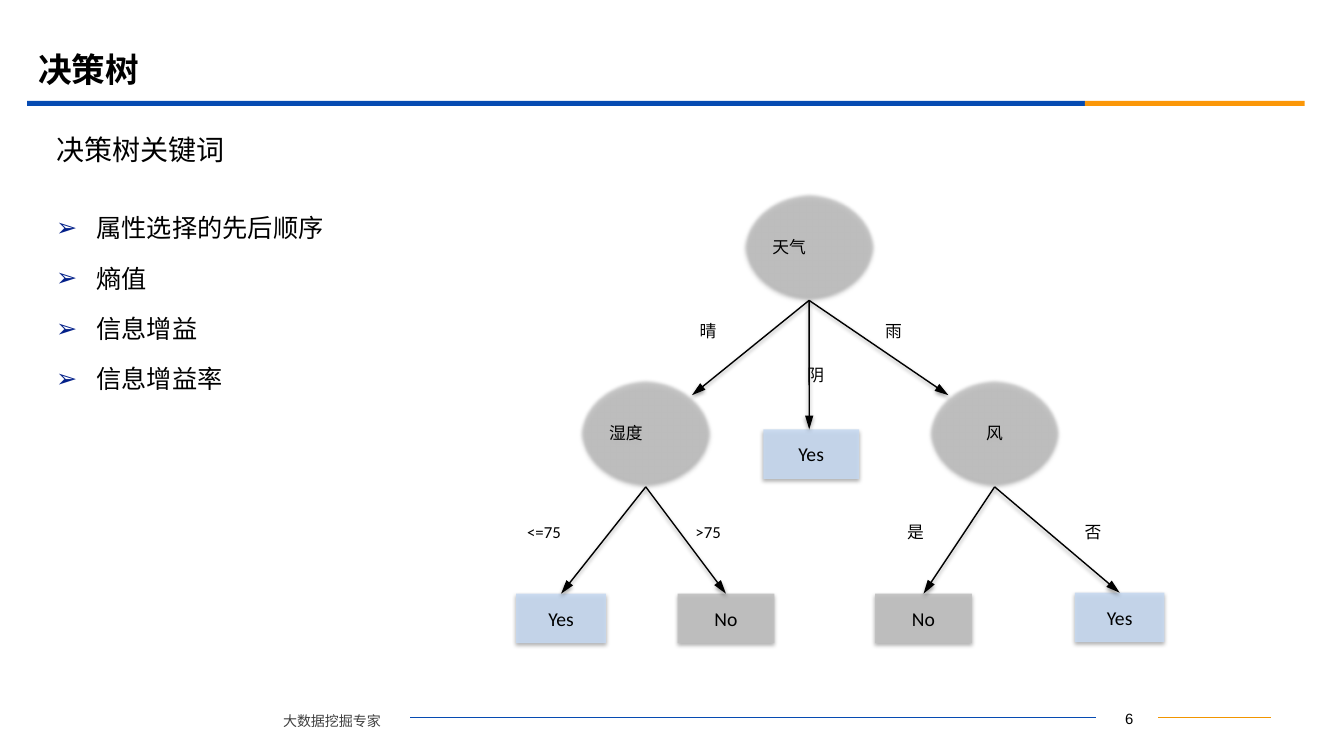
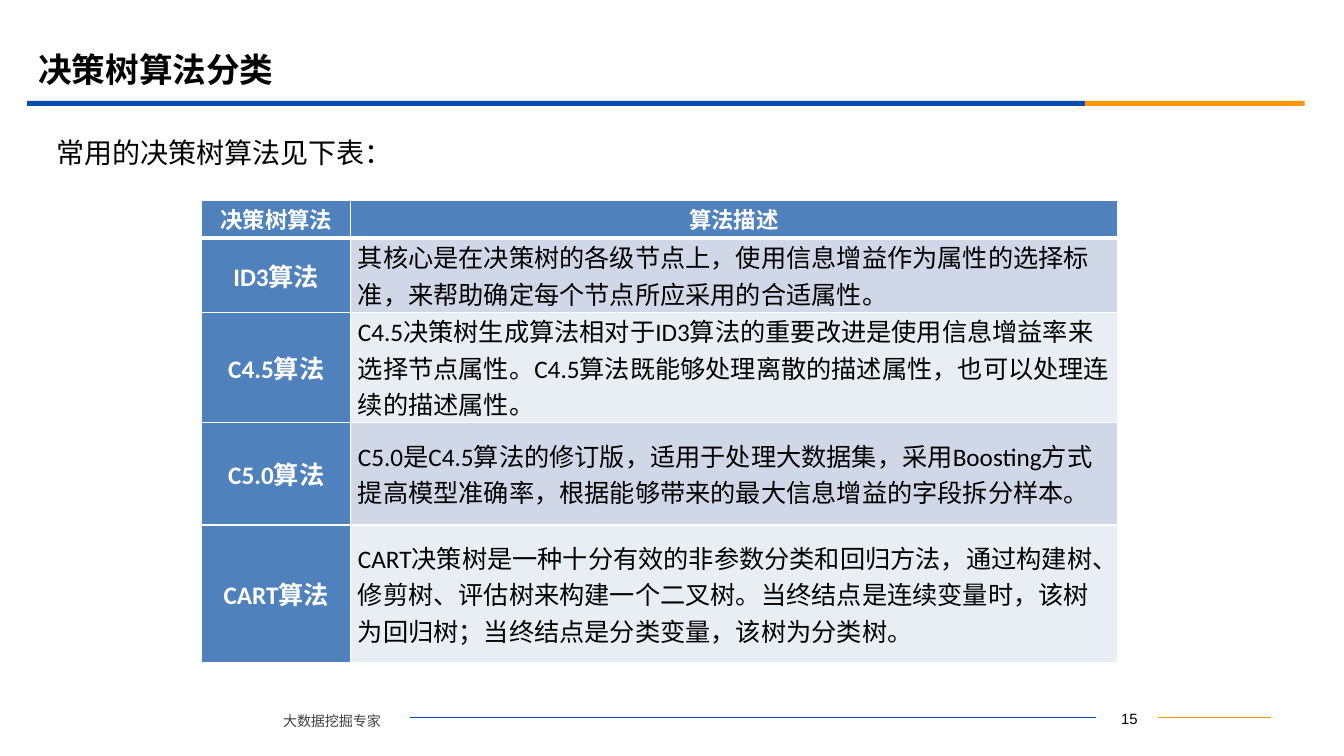
from dataclasses import dataclass

from lxml import etree
from pptx import Presentation
from pptx.dml.color import RGBColor
from pptx.enum import shapes as sh, text as tx
from pptx.oxml import ns
from pptx.util import Emu, Inches, Pt

WHITE = RGBColor(0xFF, 0xFF, 0xFF)
BLACK = RGBColor(0, 0, 0)
DARK = RGBColor(0x40, 0x40, 0x40)
BLUE = RGBColor(0x06, 0x4B, 0xB2)
ORANGE = RGBColor(0xFB, 0x97, 0x08)
AMBER = RGBColor(0xF1, 0x95, 0x00)
BULLET = RGBColor(0x03, 0x20, 0x89)
GREY = RGBColor(0xBF, 0xBF, 0xBF)
PALE = RGBColor(0xC6, 0xD9, 0xF1)
HEADER = RGBColor(0x4F, 0x81, 0xBD)
STRIPES = (RGBColor(0xD0, 0xD8, 0xE8), RGBColor(0xE9, 0xED, 0xF4))
LATIN, CJK = "Calibri", "Noto Sans CJK SC"
LEFT, CENTER = tx.PP_ALIGN.LEFT, tx.PP_ALIGN.CENTER
TOP, MIDDLE = tx.MSO_ANCHOR.TOP, tx.MSO_ANCHOR.MIDDLE


@dataclass(frozen=True)
class Node:
    text: str
    x: float
    y: float
    w: float
    h: float = 0.49
    fill: RGBColor = PALE
    oval: bool = False
    align: tx.PP_ALIGN = CENTER


@dataclass(frozen=True)
class Edge:
    parent: str
    child: str
    fx: float
    fy: float
    label: str
    x: float
    y: float
    w: float


def sub(parent, tag: str, **attrs):
    el = etree.SubElement(parent, ns.qn(tag))
    for key, value in attrs.items():
        el.set(key, str(value))
    return el


def add_run(p, text: str, size: float, color: RGBColor = BLACK,
            bold: bool = False, font: str = LATIN) -> None:
    r = p.add_run()
    r.text = text
    r.font.size, r.font.bold, r.font.name = Pt(size), bold, font
    r.font.color.rgb = color
    sub(r.font._element, "a:ea", typeface=CJK)


def add_text(shapes, text: str, x: float, y: float, w: float, h: float,
             size: float, color: RGBColor = BLACK, font: str = LATIN,
             align: tx.PP_ALIGN = LEFT, anchor: tx.MSO_ANCHOR = TOP):
    tf = shapes.add_textbox(Inches(x), Inches(y), Inches(w), Inches(h)).text_frame
    tf.word_wrap, tf.vertical_anchor = True, anchor
    p = tf.paragraphs[0]
    p.alignment = align
    add_run(p, text, size, color, font=font)
    return p


def add_fill_shape(shapes, kind: sh.MSO_SHAPE, x: float, y: float,
                   w: float, h: float, fill: RGBColor):
    sp = shapes.add_shape(kind, Inches(x), Inches(y), Inches(w), Inches(h))
    sp.shadow.inherit = False
    sp.fill.solid()
    sp.fill.fore_color.rgb = fill
    sp.line.fill.background()
    return sp


def add_line(shapes, x1: float, y1: float, x2: float, y2: float,
             color: RGBColor, width: float):
    c = shapes.add_connector(sh.MSO_CONNECTOR.STRAIGHT, Inches(x1), Inches(y1),
                             Inches(x2), Inches(y2))
    c.line.color.rgb, c.line.width = color, Pt(width)
    return c, sub(c._element.spPr, "a:effectLst")


def add_shadow(effects, distance: float, opacity: int) -> None:
    shadow = sub(effects, "a:outerShdw", blurRad=Pt(3.1), dist=Pt(distance),
                 dir=5400000, rotWithShape=0)
    sub(sub(shadow, "a:srgbClr", val=BLACK), "a:alpha", val=opacity * 1000)


def add_node(shapes, node: Node) -> None:
    kind = sh.MSO_SHAPE.OVAL if node.oval else sh.MSO_SHAPE.RECTANGLE
    sp = add_fill_shape(shapes, kind, node.x, node.y, node.w, node.h, node.fill)
    sub(sp._element.spPr.find(".//" + ns.qn("a:srgbClr")), "a:alpha", val=87000)
    effects = sp._element.spPr.find(ns.qn("a:effectLst"))
    add_shadow(effects, 1.8, 35)
    if node.oval:
        sub(effects, "a:softEdge", rad=Pt(2.5))
    tf = sp.text_frame
    tf.vertical_anchor = MIDDLE
    p = tf.paragraphs[0]
    p.alignment = node.align
    add_run(p, node.text, 12 if node.oval else 14)


def add_edge(shapes, nodes: dict[str, Node], edge: Edge) -> None:
    a, b = nodes[edge.parent], nodes[edge.child]
    c, effects = add_line(shapes, a.x + a.w / 2, a.y + a.h,
                          b.x + b.w * edge.fx, b.y + b.h * edge.fy, BLACK, 1)
    sub(c.line._get_or_add_ln(), "a:tailEnd", type="triangle", len="lg")
    add_shadow(effects, 1.6, 38)
    add_text(shapes, edge.label, edge.x, edge.y, edge.w, 0.39, 12)


def add_slide(prs, title: str, number: int):
    s = prs.slides.add_slide(prs.slide_layouts.get_by_name("Title Only"))
    add_text(s.shapes, str(number), 10.89, 6.99, 0.62, 0.25, 10.6,
             font="Arial", align=CENTER)
    p = add_text(s.shapes, "大数据挖掘专家", 2.71, 6.94, 1.36, 0.35, 10, DARK, CJK)
    p.line_spacing, p.space_before = 1.5, Pt(6)
    add_line(s.shapes, 4.07, 7.12, 10.87, 7.12, BLUE, 0.75)
    add_line(s.shapes, 11.49, 7.12, 12.61, 7.12, AMBER, 0.75)
    for x, w, color in ((0.27, 10.49, BLUE), (10.76, 2.18, ORANGE)):
        add_fill_shape(s.shapes, sh.MSO_SHAPE.RECTANGLE, x, 1, w, 0.05, color)
    sp = s.shapes.title
    sp.left, sp.top, sp.width, sp.height = map(Inches, (0.28, 0.4, 12, 0.58))
    tf = sp.text_frame
    tf.auto_size, tf.vertical_anchor = tx.MSO_AUTO_SIZE.NONE, MIDDLE
    tf.paragraphs[0].alignment = LEFT
    add_run(tf.paragraphs[0], title, 24, bold=True)
    return s


def add_bullets(s, items: list[str]) -> None:
    tf = s.shapes.add_textbox(Inches(0.46), Inches(1.91), Inches(4.5),
                              Inches(2.2)).text_frame
    tf.word_wrap = True
    for i, item in enumerate(items):
        p = tf.add_paragraph() if i else tf.paragraphs[0]
        p.line_spacing, p.space_before = 1.5, Pt(3.6)
        pPr = p._p.get_or_add_pPr()
        pPr.set("marL", str(Inches(0.4)))
        pPr.set("indent", str(-Inches(0.4)))
        sub(sub(pPr, "a:buClr"), "a:srgbClr", val=BULLET)
        sub(pPr, "a:buFont", typeface="Arial")
        sub(pPr, "a:buChar", char="➢")
        add_run(p, item, 18, font=CJK)


def style_cell(cell, text: str, row: int, col: int) -> None:
    head = row == 0 or col == 0
    cell.fill.solid()
    cell.fill.fore_color.rgb = HEADER if head else STRIPES[(row - 1) % 2]
    cell.vertical_anchor = MIDDLE
    cell.margin_left = cell.margin_right = Inches(0.07)
    cell.margin_top = cell.margin_bottom = Emu(0)
    p = cell.text_frame.paragraphs[0]
    p.alignment = CENTER if head else LEFT
    add_run(p, text, 18 if row else 16, WHITE if head else BLACK, head)
    tcPr = cell._tc.get_or_add_tcPr()
    for i, side in enumerate("LRTB"):
        thick = (row, side) in ((0, "B"), (1, "T"))
        ln = sub(tcPr, f"a:ln{side}", w=Pt(3 if thick else 1))
        sub(sub(ln, "a:solidFill"), "a:srgbClr", val=WHITE)
        tcPr.insert(i, ln)


def add_grid(s, rows: list[tuple[str, str]], widths: tuple[float, ...],
             heights: tuple[float, ...]) -> None:
    table = s.shapes.add_table(len(rows), len(widths), Inches(2), Inches(1.99),
                               Inches(sum(widths)), Inches(sum(heights))).table
    for column, w in zip(table.columns, widths):
        column.width = Inches(w)
    for i, (row, h) in enumerate(zip(rows, heights)):
        table.rows[i].height = Inches(h)
        for j, text in enumerate(row):
            style_cell(table.cell(i, j), text, i, j)


NODES = {
    "weather": Node("天气", 7.37, 1.91, 1.31, 1.07, GREY, True, LEFT),
    "humidity": Node("湿度", 5.75, 3.76, 1.31, 1.07, GREY, True, LEFT),
    "wind": Node("风", 9.21, 3.76, 1.31, 1.07, GREY, True),
    "overcast": Node("Yes", 7.57, 4.26, 0.95),
    "dry": Node("Yes", 5.12, 5.89, 0.89),
    "humid": Node("No", 6.72, 5.89, 0.96, fill=GREY),
    "windy": Node("No", 8.68, 5.89, 0.96, fill=GREY),
    "calm": Node("Yes", 10.66, 5.88, 0.89),
}
EDGES = [
    Edge("weather", "humidity", 0.85, 0.15, "晴", 6.84, 3.13, 0.53),
    Edge("weather", "overcast", 0.48, 0, "阴", 7.91, 3.57, 0.7),
    Edge("weather", "wind", 0.15, 0.15, "雨", 8.68, 3.13, 0.72),
    Edge("humidity", "dry", 0.5, 0, "<=75", 5.13, 5.13, 0.99),
    Edge("humidity", "humid", 0.5, 0, ">75", 6.8, 5.13, 0.84),
    Edge("wind", "windy", 0.5, 0, "是", 8.9, 5.13, 0.64),
    Edge("wind", "calm", 0.5, 0, "否", 10.66, 5.13, 0.64),
]
ALGORITHMS = [
    ("决策树算法", "算法描述"),
    ("ID3算法", "其核心是在决策树的各级节点上，使用信息增益作为属性的选择标准，"
     "来帮助确定每个节点所应采用的合适属性。"),
    ("C4.5算法", "C4.5决策树生成算法相对于ID3算法的重要改进是使用信息增益率来选择节点属性。"
     "C4.5算法既能够处理离散的描述属性，也可以处理连续的描述属性。"),
    ("C5.0算法", "C5.0是C4.5算法的修订版，适用于处理大数据集，采用Boosting方式提高模型准确率，"
     "根据能够带来的最大信息增益的字段拆分样本。"),
    ("CART算法", "CART决策树是一种十分有效的非参数分类和回归方法，通过构建树、修剪树、"
     "评估树来构建一个二叉树。当终结点是连续变量时，该树为回归树；"
     "当终结点是分类变量，该树为分类树。"),
]


def build_tree(prs) -> None:
    s = add_slide(prs, "决策树", 6)
    add_text(s.shapes, "决策树关键词", 0.46, 1.25, 12.15, 0.47, 20, anchor=MIDDLE)
    add_bullets(s, ["属性选择的先后顺序", "熵值", "信息增益", "信息增益率"])
    tree = s.shapes.add_group_shape().shapes
    for node in NODES.values():
        add_node(tree, node)
    for edge in EDGES:
        add_edge(tree, NODES, edge)


def build_algorithms(prs) -> None:
    s = add_slide(prs, "决策树算法分类", 15)
    add_text(s.shapes, "常用的决策树算法见下表：", 0.46, 1.28, 12.15, 0.47, 20,
             font=CJK, anchor=MIDDLE)
    add_grid(s, ALGORITHMS, (1.48, 7.6), (0.37, 0.74, 1.09, 1.02, 1.36))


prs = Presentation()
prs.slide_width, prs.slide_height = Inches(13.33), Inches(7.5)
build_tree(prs)
build_algorithms(prs)
prs.save("out.pptx")
